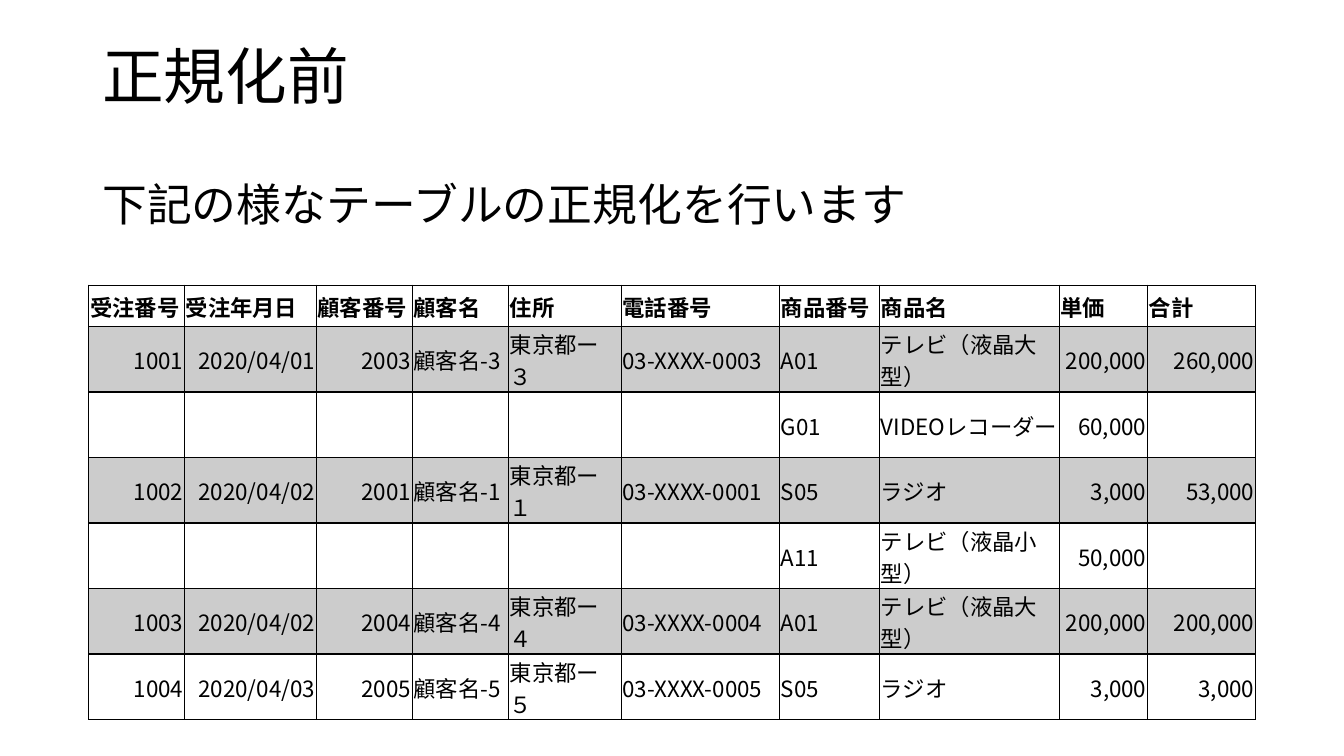
from lxml.etree import SubElement
from pptx import Presentation
from pptx.dml.color import RGBColor
from pptx.enum.text import MSO_ANCHOR as Anchor, PP_ALIGN as Align
from pptx.oxml.ns import qn
from pptx.util import Cm, Pt

FONT = "Noto Sans CJK JP"
BLACK = "000000"
TITLE = "正規化前"
LEAD = "下記の様なテーブルの正規化を行います"

# heading, width in cm, alignment of the values
COLUMNS = [
    ("受注番号", 2.41, Align.RIGHT),
    ("受注年月日", 3.32, Align.RIGHT),
    ("顧客番号", 2.42, Align.RIGHT),
    ("顧客名", 2.43, Align.LEFT),
    ("住所", 2.84, Align.LEFT),
    ("電話番号", 3.99, Align.LEFT),
    ("商品番号", 2.52, Align.LEFT),
    ("商品名", 4.53, Align.LEFT),
    ("単価", 2.22, Align.RIGHT),
    ("合計", 2.72, Align.RIGHT),
]
NO_ORDER = ("",) * 6
LARGE_TV = "テレビ\uff08液晶大型\uff09"
SMALL_TV = "テレビ\uff08液晶小型\uff09"
ORDERS = [
    ("1001", "2020/04/01", "2003", "顧客名-3", "東京都ー\uff13", "03-XXXX-0003",
     "A01", LARGE_TV, "200,000", "260,000"),
    (*NO_ORDER, "G01", "VIDEOレコーダー", "60,000", ""),
    ("1002", "2020/04/02", "2001", "顧客名-1", "東京都ー\uff11", "03-XXXX-0001",
     "S05", "ラジオ", "3,000", "53,000"),
    (*NO_ORDER, "A11", SMALL_TV, "50,000", ""),
    ("1003", "2020/04/02", "2004", "顧客名-4", "東京都ー\uff14", "03-XXXX-0004",
     "A01", LARGE_TV, "200,000", "200,000"),
    ("1004", "2020/04/03", "2005", "顧客名-5", "東京都ー\uff15", "03-XXXX-0005",
     "S05", "ラジオ", "3,000", "3,000"),
]
HEADING_HEIGHT, ORDER_HEIGHT = 1.04, 1.65
SHADE_PERCENT = 20


def color(value):
    """Turn a hex string into a colour."""
    return RGBColor.from_string(value)


def add_text(para, text, size, bold=False):
    """Add one run, with the font set for Latin and Japanese letters."""
    span = para.add_run()
    span.text = text
    span.font.size = Pt(size)
    span.font.bold = bold
    span.font.name = FONT
    span.font.color.rgb = color(BLACK)
    SubElement(span.font._element, qn("a:ea"), typeface=FONT)


def add_box(page, place, text, size, anchor, spacing=1.0):
    """Add a wrapped text box with one line of text."""
    box = page.shapes.add_textbox(*(Cm(length) for length in place))
    frame = box.text_frame
    frame.word_wrap = True
    frame.vertical_anchor = anchor
    para = frame.paragraphs[0]
    para.line_spacing = spacing
    add_text(para, text, size)


def add_borders(cell):
    """Draw a thin line on the four sides of a cell."""
    properties = cell._tc.get_or_add_tcPr()
    for side in ("lnL", "lnR", "lnT", "lnB"):
        line = SubElement(properties, qn(f"a:{side}"), w=str(Pt(1)))
        fill = SubElement(line, qn("a:solidFill"))
        SubElement(fill, qn("a:srgbClr"), val=BLACK)


def shade(cell):
    """Fill a cell with see-through black."""
    cell.fill.solid()
    cell.fill.fore_color.rgb = color(BLACK)
    tone = cell._tc.tcPr.find(qn("a:solidFill")).find(qn("a:srgbClr"))
    SubElement(tone, qn("a:alpha"), val=str(SHADE_PERCENT * 1000))


def fill_cell(cell, text, align, bold, shaded):
    """Set the text, margins, lines and fill of a cell."""
    cell.margin_left = cell.margin_right = cell.margin_top = Cm(0.03)
    cell.margin_bottom = 0
    cell.vertical_anchor = Anchor.MIDDLE
    add_borders(cell)
    if shaded:
        shade(cell)
    else:
        cell.fill.background()
    para = cell.text_frame.paragraphs[0]
    para.alignment = align
    if text:
        add_text(para, text, 16, bold)


def add_orders(page):
    """Add the order table with every other row shaded."""
    headings, widths, aligns = zip(*COLUMNS)
    rows = [headings, *ORDERS]
    heights = [HEADING_HEIGHT] + [ORDER_HEIGHT] * len(ORDERS)
    table = page.shapes.add_table(
        len(rows), len(COLUMNS), Cm(2.24), Cm(7.19),
        Cm(sum(widths)), Cm(sum(heights))).table
    table.first_row = table.horz_banding = False
    for column, width in zip(table.columns, widths):
        column.width = Cm(width)
    for r, values in enumerate(rows):
        table.rows[r].height = Cm(heights[r])
        is_heading = r == 0
        for c, text in enumerate(values):
            align = Align.LEFT if is_heading else aligns[c]
            fill_cell(table.cell(r, c), text, align, is_heading, r % 2 == 1)


deck = Presentation()
deck.slide_width, deck.slide_height = Cm(33.87), Cm(19.05)
page = deck.slides.add_slide(deck.slide_layouts[6])
add_box(page, (2.33, 1.01, 29.21, 2.0), TITLE, 44, Anchor.MIDDLE, 0.9)
add_orders(page)
add_box(page, (2.33, 4.32, 22.66, 1.62), LEAD, 32, Anchor.TOP)
deck.save("out.pptx")
